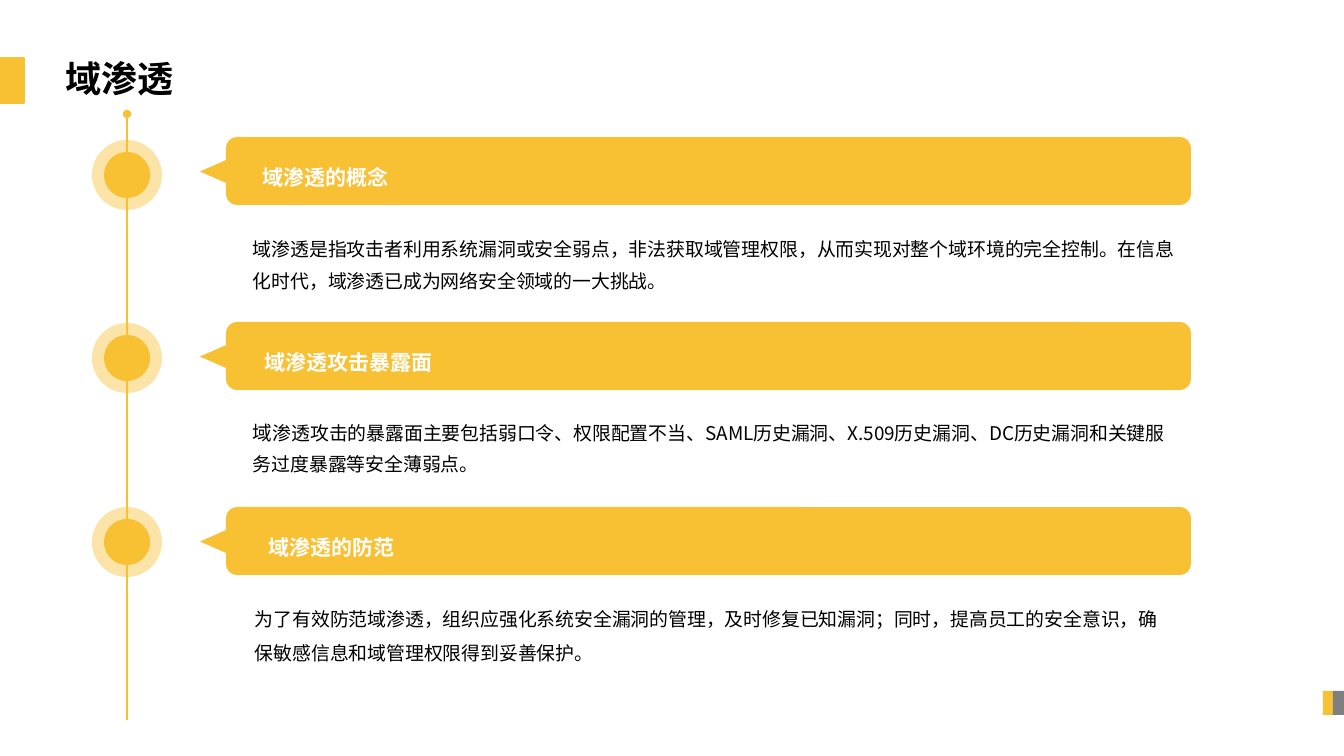
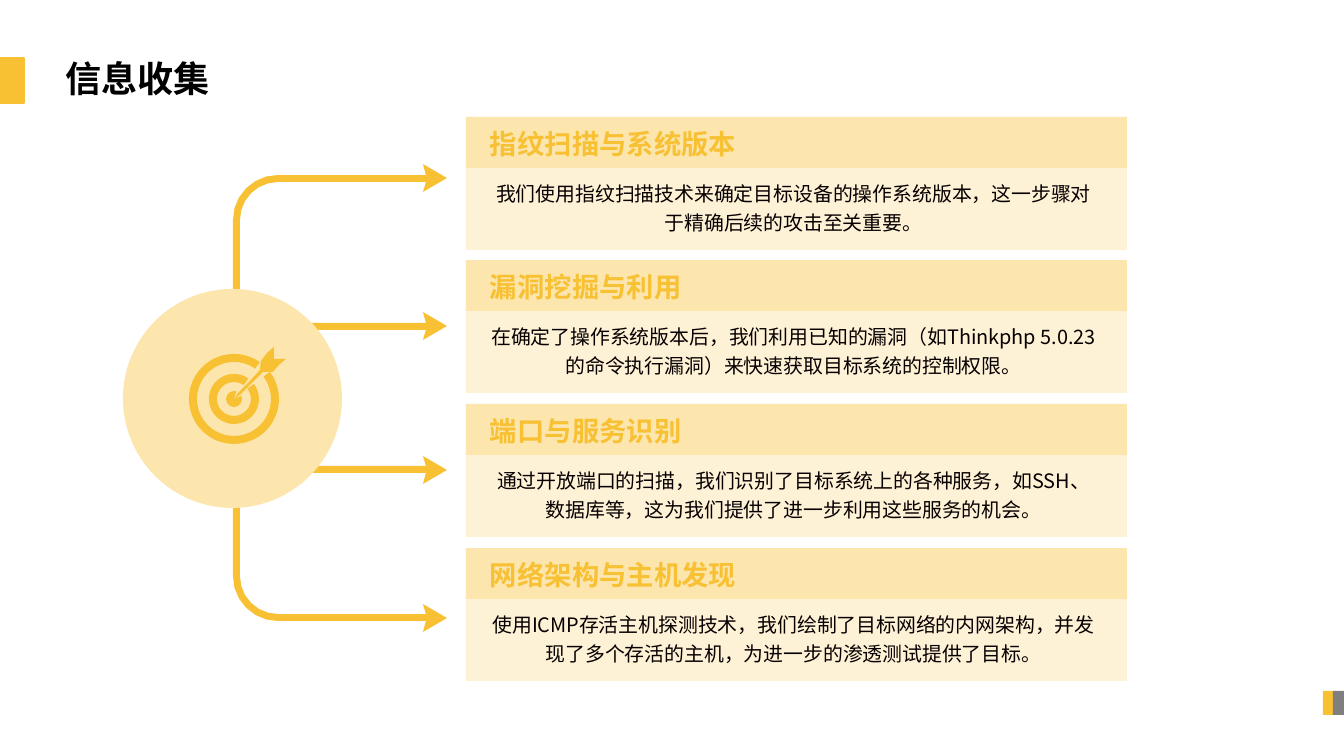
import math

import pptx
import pptx.dml.color
import pptx.enum.shapes
import pptx.enum.text
import pptx.oxml
import pptx.oxml.ns
import pptx.util

PX = 12192000 / 1344
FONT = "Noto Sans CJK SC"
COLORS = {
    "amber": "F8C033",
    "sand": "FCE6AD",
    "cream": "FEF2D6",
    "grey": "7F7F7F",
    "white": "FFFFFF",
    "black": "000000",
    "ink": "060001",
}
SHAPE = pptx.enum.shapes.MSO_SHAPE
ALIGN = pptx.enum.text.PP_ALIGN
ANCHOR = pptx.enum.text.MSO_ANCHOR
NS = pptx.oxml.ns.nsdecls("a")


def draw(slide, kind, geometry, color):
    if kind == "outline":
        points = [(x * PX, y * PX) for x, y in geometry]
        builder = slide.shapes.build_freeform(*points[0], scale=1.0)
        builder.add_line_segments(points[1:], close=True)
        shape = builder.convert_to_shape()
    else:
        shape = slide.shapes.add_shape(kind, *[round(v * PX) for v in geometry])
    shape.shadow.inherit = False
    shape.fill.solid()
    shape.fill.fore_color.rgb = pptx.dml.color.RGBColor.from_string(COLORS[color])
    shape.line.fill.background()
    return shape


def write(slide, box, runs, color, bold=False, spacing=1.0, insets=(10, 5, 10, 5),
          anchor=ANCHOR.TOP, align=ALIGN.LEFT):
    frame = slide.shapes.add_textbox(*[round(v * PX) for v in box]).text_frame
    frame.word_wrap = True
    frame.vertical_anchor = anchor
    frame.margin_left, frame.margin_top, frame.margin_right, frame.margin_bottom = [
        round(v * PX) for v in insets]
    paragraph = frame.paragraphs[0]
    paragraph.alignment = align
    paragraph.line_spacing = spacing
    for text, size in runs:
        run = paragraph.add_run()
        run.text = text
        run.font.size = pptx.util.Pt(size)
        run.font.bold = bold
        run.font.name = FONT
        run.font.color.rgb = pptx.dml.color.RGBColor.from_string(COLORS[color])
        run.font._element.find(pptx.oxml.ns.qn("a:latin")).addnext(
            pptx.oxml.parse_xml(f'<a:ea {NS} typeface="{FONT}"/>'))


deck = pptx.Presentation()
deck.slide_width = round(1344 * PX)
deck.slide_height = round(756 * PX)

pages = []
for title in ["域渗透", "信息收集"]:
    page = deck.slides.add_slide(deck.slide_layouts[6])
    draw(page, SHAPE.RECTANGLE, (1323, 691, 10, 24), "amber")
    draw(page, SHAPE.RECTANGLE, (1333, 691, 11, 24), "grey")
    title_mark = draw(page, SHAPE.RECTANGLE, (0, 58, 24, 45), "amber")
    title_mark.line.color.rgb = pptx.dml.color.RGBColor.from_string(COLORS["amber"])
    title_mark.line.width = pptx.util.Pt(1)
    write(page, (55, 51, 438, 57), [(title, 25.8)], "black", bold=True)
    pages.append(page)
overview, collection = pages

timeline = overview.shapes.add_connector(
    pptx.enum.shapes.MSO_CONNECTOR.STRAIGHT,
    *[round(v * PX) for v in (127, 114, 127, 720)])
timeline.line.color.rgb = pptx.dml.color.RGBColor.from_string(COLORS["amber"])
timeline.line.width = pptx.util.Pt(1.5)
timeline.line._get_or_add_ln().append(
    pptx.oxml.parse_xml(f'<a:headEnd {NS} type="oval"/>'))
timeline._element.spPr.append(pptx.oxml.parse_xml(f"<a:effectLst {NS}/>"))

topics = [
    ("域渗透的概念", 249, 140, (239, 215, 942, 94), 1.4,
     [("域渗透是指攻击者利用系统漏洞或安全弱点，非法获取域管理权限，从而实现对整个域环境的完全控制。"
       "在信息化时代，域渗透已成为网络安全领域的一大挑战。", 13.5)]),
    ("域渗透攻击暴露面", 251, 323, (239, 397, 939, 94), 1.4,
     [("域", 14),
      ("渗透攻击的暴露面主要包括弱口令、权限配置不当、SAML历史漏洞、X.509历史漏洞、"
       "DC历史漏洞和关键服务过度暴露等安全薄弱点。", 13.5)]),
    ("域渗透的防范", 255, 507, (241, 582, 936, 101), 1.5,
     [("为了有效防范域渗透，组织应强化系统安全漏洞的管理，及时修复已知漏洞；"
       "同时，提高员工的安全意识，确保敏感信息和域管理权限得到妥善保护。", 13.5)]),
]
for i, (heading, heading_left, halo_top, body_box, spacing, body) in enumerate(topics):
    bar_top = 137 + 185 * i
    halo = draw(overview, SHAPE.OVAL, (92, halo_top, 70, 70), "amber")
    halo.fill._xPr.find(".//" + pptx.oxml.ns.qn("a:srgbClr")).append(
        pptx.oxml.parse_xml(f'<a:alpha {NS} val="42000"/>'))
    draw(overview, SHAPE.OVAL, (104, halo_top + 12, 46, 46), "amber")
    draw(overview, SHAPE.ROUNDED_RECTANGLE, (226, bar_top, 965, 68), "amber")
    pointer = draw(overview, SHAPE.ISOSCELES_TRIANGLE, (202, bar_top + 18, 29, 33), "amber")
    pointer.rotation = 270
    write(overview, (heading_left, bar_top - 5, 751, 77), [(heading, 15)], "white",
          bold=True, spacing=1.5, insets=(14, 14, 6, 14), anchor=ANCHOR.MIDDLE)
    write(overview, body_box, body, "black", spacing=spacing, insets=(14, 14, 6, 14))

hub_y = 398
quarter = [math.radians(a) for a in range(180, 89, -15)]
outer_bend, inner_bend = [
    [(278 + r * math.cos(a), 220 - r * math.sin(a)) for a in quarter] for r in (45, 38)]
outer_arrow = ([(233, 338)] + outer_bend
               + [(426, 175), (423, 164), (447, 178), (423, 192), (426, 182)]
               + inner_bend[::-1] + [(240, 338)])
inner_arrow = [(233, 323), (426, 323), (423, 312), (447, 326),
               (423, 340), (426, 330), (233, 330)]
for arrow in [outer_arrow, inner_arrow]:
    draw(collection, "outline", arrow, "amber")
    draw(collection, "outline", [(x, 2 * hub_y - y) for x, y in arrow], "amber")

draw(collection, SHAPE.OVAL, (123, 289, 219, 219), "sand")
for radius, thickness, gap_start, gap_end in [(45, 8, 37, 55), (25, 8, 37, 55), (8, 8, 25, 72)]:
    ring = draw(collection, SHAPE.BLOCK_ARC,
                (234 - radius, 399 - radius, 2 * radius, 2 * radius), "amber")
    ring.adjustments[0] = (360 - gap_start) * 0.6
    ring.adjustments[1] = (360 - gap_end) * 0.6
    ring.adjustments[2] = thickness / (2 * radius)
dart = [(274, 359), (274, 347), (267, 353), (261, 361), (260, 370), (249, 382), (239, 392),
        (234, 399), (241, 394), (251, 384), (263, 372), (273, 372), (279, 365), (286, 359)]
draw(collection, "outline", dart, "amber")

steps = [
    ("指纹扫描与系统版本",
     "我们使用指纹扫描技术来确定目标设备的操作系统版本，这一步骤对于精确后续的攻击至关重要。"),
    ("漏洞挖掘与利用",
     "在确定了操作系统版本后，我们利用已知的漏洞（如Thinkphp 5.0.23的命令执行漏洞）来快速获取目标系统的控制权限。"),
    ("端口与服务识别",
     "通过开放端口的扫描，我们识别了目标系统上的各种服务，如SSH、数据库等，这为我们提供了进一步利用这些服务的机会。"),
    ("网络架构与主机发现",
     "使用ICMP存活主机探测技术，我们绘制了目标网络的内网架构，并发现了多个存活的主机，为进一步的渗透测试提供了目标。"),
]
for i, (heading, body) in enumerate(steps):
    top = 117 + 431 * i // 3
    draw(collection, SHAPE.RECTANGLE, (466, top + 46, 661, 87), "cream")
    draw(collection, SHAPE.RECTANGLE, (466, top, 661, 51), "sand")
    write(collection, (483, top, 611, 51), [(heading, 19.5)], "amber",
          bold=True, spacing=1.2, insets=(7, 4, 7, 4))
    write(collection, (483, top + 46, 621, 85), [(body, 14.2)], "ink", spacing=1.2,
          insets=(7, 4, 7, 4), anchor=ANCHOR.MIDDLE, align=ALIGN.CENTER)

deck.save("out.pptx")
